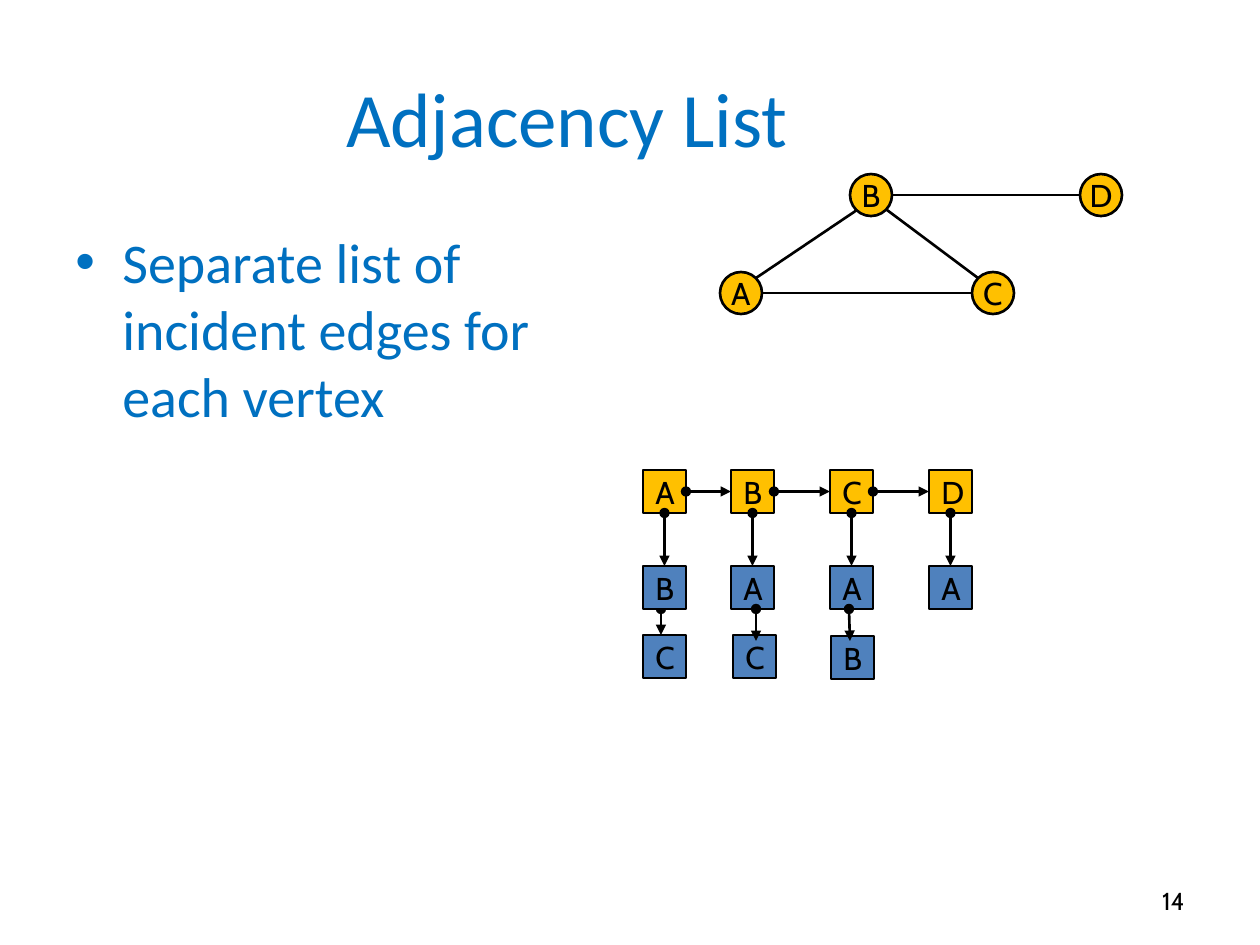
from lxml import etree
from pptx import Presentation
from pptx.dml.color import RGBColor
from pptx.enum.shapes import MSO_CONNECTOR, MSO_SHAPE
from pptx.enum.text import MSO_ANCHOR, PP_ALIGN
from pptx.oxml.ns import qn
from pptx.util import Emu, Pt

STRAIGHT = MSO_CONNECTOR.STRAIGHT
OVAL, RECT = MSO_SHAPE.OVAL, MSO_SHAPE.RECTANGLE
LEFT, CENTER, RIGHT = PP_ALIGN.LEFT, PP_ALIGN.CENTER, PP_ALIGN.RIGHT
TOP, MIDDLE = MSO_ANCHOR.TOP, MSO_ANCHOR.MIDDLE
SIDE_TOP, SIDE_LEFT, SIDE_BOTTOM, SIDE_RIGHT = range(4)

COLORS = {"text": "0070C0", "ink": "000000", "vertex": "FFC000", "neighbor": "4F81BD"}
PX_PER_INCH = 126
NODE, CELL = 42, 43


def px(value):
    return Emu(round(value * 914400 / PX_PER_INCH))


def color(name):
    return RGBColor.from_string(COLORS[name])


class Deck:
    label_font = {"name": "Cabin", "size": Pt(18)}
    line_width = Pt(1.5)

    def __init__(self, width, height):
        self.prs = Presentation()
        self.prs.slide_width, self.prs.slide_height = px(width), px(height)
        self.slide = self.prs.slides.add_slide(self.prs.slide_layouts[6])

    def fill_text(self, frame, words, font, ink, align, **frame_format):
        for key, value in frame_format.items():
            setattr(frame, key, value)
        paragraph = frame.paragraphs[0]
        paragraph.alignment = align
        run = paragraph.add_run()
        run.text = words
        for key, value in font.items():
            setattr(run.font, key, value)
        run.font.color.rgb = color(ink)
        return paragraph

    def text(self, box, words, font, ink, align=LEFT, anchor=MIDDLE):
        frame = self.slide.shapes.add_textbox(*map(px, box)).text_frame
        return self.fill_text(frame, words, font, ink, align,
                              word_wrap=True, vertical_anchor=anchor)

    def bullet(self, box, words, font, ink, indent):
        paragraph = self.text(box, words, font, ink, anchor=TOP)
        paragraph.space_before = Pt(6.4)
        properties = paragraph._p.get_or_add_pPr()
        properties.set("marL", str(px(indent)))
        properties.set("indent", str(-px(indent)))
        etree.SubElement(properties, qn("a:buFont"), typeface="Arial")
        etree.SubElement(properties, qn("a:buChar"), char="•")

    def label(self, kind, left, top, size, fill, words, align):
        shape = self.slide.shapes.add_shape(kind, *map(px, (left, top, size, size)))
        shape.shadow.inherit = False
        shape.fill.solid()
        shape.fill.fore_color.rgb = color(fill)
        shape.line.color.rgb = color("ink")
        shape.line.width = self.line_width
        self.fill_text(shape.text_frame, words, self.label_font, "ink", align,
                       word_wrap=False, vertical_anchor=MIDDLE)
        return shape

    def line(self, start=(0, 0), end=(0, 0)):
        connector = self.slide.shapes.add_connector(STRAIGHT, *map(px, start + end))
        connector.line.color.rgb = color("ink")
        connector.line.width = self.line_width
        etree.SubElement(connector._element.spPr, qn("a:effectLst"))
        return connector

    def pointer(self, start=(0, 0), end=(0, 0)):
        connector = self.line(start, end)
        outline = connector.line._get_or_add_ln()
        etree.SubElement(outline, qn("a:headEnd"), type="oval")
        etree.SubElement(outline, qn("a:tailEnd"), type="triangle")
        return connector

    def link(self, source, source_side, target, target_side):
        connector = self.pointer()
        connector.begin_connect(source, source_side)
        connector.end_connect(target, target_side)


def draw_graph(deck):
    vertices = {"A": (720, 272), "B": (850, 174), "C": (972, 272), "D": (1080, 174)}
    edges = [((887, 210), (978, 278)), ((857, 210), (756, 278)),
             ((892, 195), (1080, 195)), ((762, 293), (972, 293))]
    for start, end in edges:
        deck.line(start, end)
    for name, (left, top) in vertices.items():
        deck.label(OVAL, left, top, NODE, "vertex", name, CENTER)


def draw_adjacency(deck):
    vertex_top, first_top = 470, 566
    lists = [("A", 643, "B"), ("B", 731, "A"), ("C", 830, "A"), ("D", 929, "A")]
    second_neighbors = [("C", 643, 635), ("C", 733, 635), ("B", 831, 636)]
    deck.pointer((661, 609), (661, 635))
    previous = None
    for vertex, left, neighbor in lists:
        head = deck.label(RECT, left, vertex_top, CELL, "vertex", vertex, LEFT)
        first = deck.label(RECT, left, first_top, CELL, "neighbor", neighbor, LEFT)
        deck.link(head, SIDE_BOTTOM, first, SIDE_TOP)
        if previous:
            deck.link(previous, SIDE_RIGHT, head, SIDE_LEFT)
        previous = head
    for neighbor, left, top in second_neighbors:
        deck.label(RECT, left, top, CELL, "neighbor", neighbor, LEFT)
    deck.pointer((756, 609), (756, 641))
    deck.pointer((849, 609), (850, 641))


def main():
    deck = Deck(1260, 945)
    deck.text((903, 876, 294, 50), "14", {"name": "Cabin", "size": Pt(14)}, "ink", RIGHT)
    deck.text((0, 38, 1134, 158), "Adjacency List",
              {"name": "Calibri", "size": Pt(44)}, "text", CENTER)
    draw_graph(deck)
    draw_adjacency(deck)
    deck.bullet((63, 221, 520, 624), "Separate list of incident edges for each vertex",
                {"name": "Calibri", "size": Pt(32)}, "text", 47)
    deck.prs.save("out.pptx")


if __name__ == "__main__":
    main()
